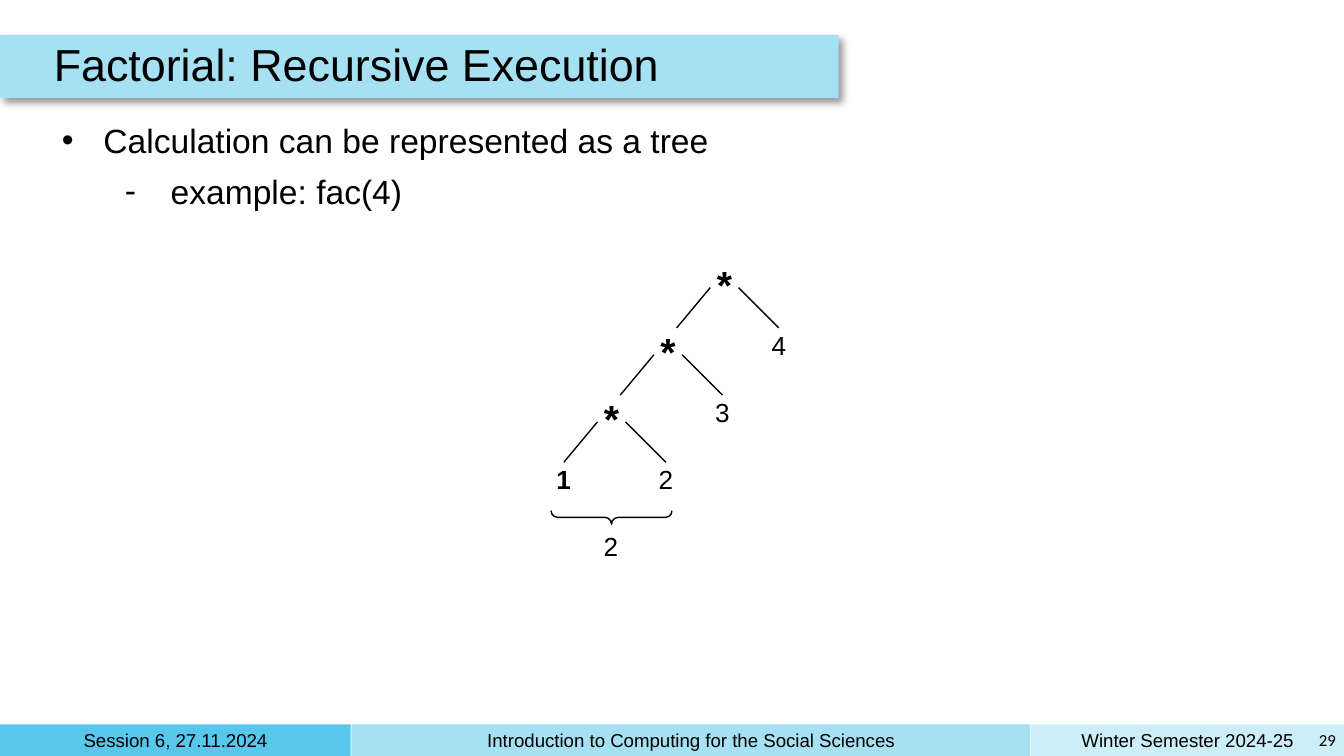
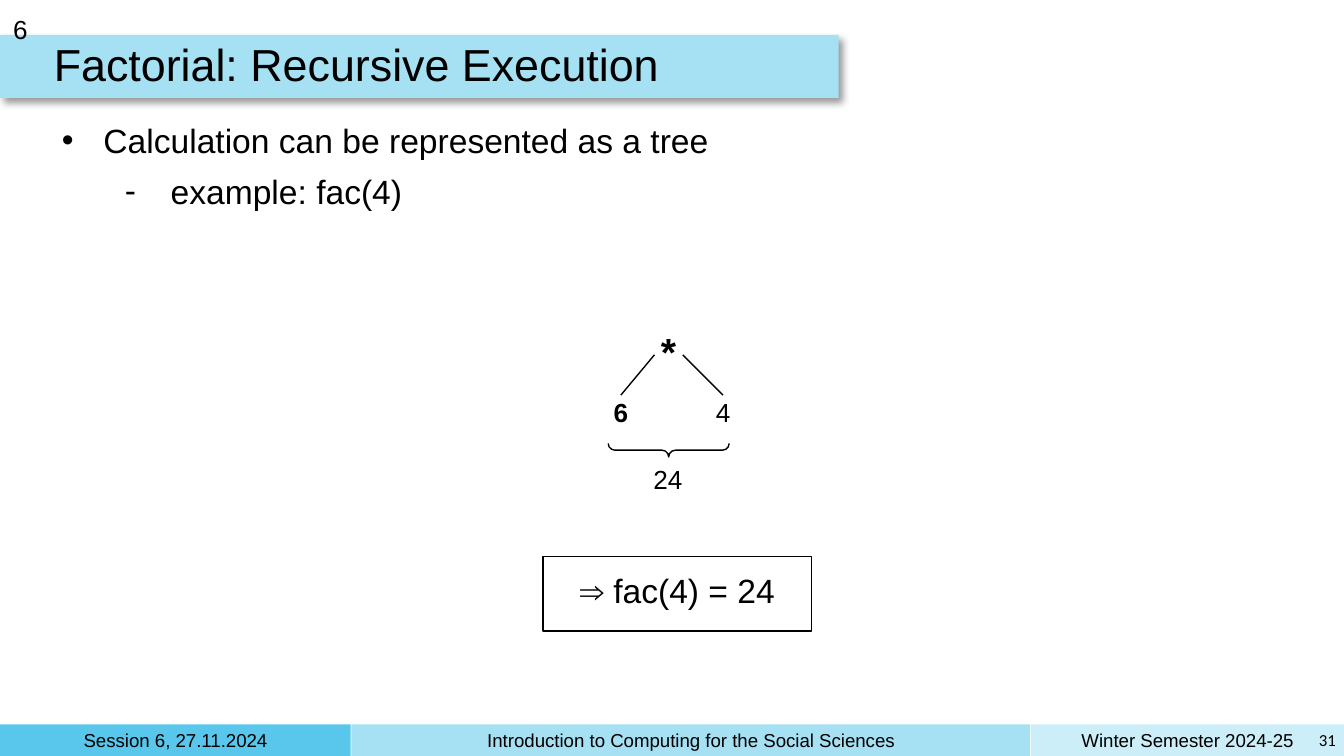
from lxml.etree import SubElement
from pptx import Presentation
from pptx.dml.color import RGBColor
from pptx.enum.shapes import MSO_CONNECTOR, MSO_SHAPE
from pptx.enum.text import MSO_ANCHOR, MSO_AUTO_SIZE, PP_ALIGN
from pptx.oxml.ns import qn
from pptx.util import Inches, Pt

BLACK = RGBColor(0x00, 0x00, 0x00)
BLUE = RGBColor(0x59, 0xC7, 0xEB)
SKY = RGBColor(0xA5, 0xE0, 0xF3)
PALE = RGBColor(0xCC, 0xEE, 0xF9)

CELL = 0.1
TITLE = "Factorial: Recursive Execution"
BULLETS = [("Calculation can be represented as a tree", "•", 0.31, -0.33, 0),
           ("example: fac(4)", "-", 0.81, -0.34, 6)]
FOOTERS = [("Session 6, 27.11.2024", 0, 26.1, BLUE),
           ("Introduction to Computing for the Social Sciences", 26.15, 50.5, SKY),
           ("Winter Semester 2024-25", 76.7, 23.3, PALE)]
ROW_STEP, COL_STEP = 5, 4.2
LEFT_COL, RIGHT_COL, CHILD_ROW = -3.55, 4.05, 4


def grid(*cells):
    """Convert grid cells to lengths."""
    return [Inches(c * CELL) for c in cells]


def write(sp, text, size=14, align=PP_ALIGN.CENTER, anchor=MSO_ANCHOR.TOP,
          insets=(0.05, 0.05, 0.05, 0.05), **font):
    """Put one formatted paragraph in a shape."""
    tf = sp.text_frame
    frame = {"word_wrap": True, "auto_size": MSO_AUTO_SIZE.NONE, "vertical_anchor": anchor}
    for side, inset in zip(("left", "top", "right", "bottom"), insets):
        frame[f"margin_{side}"] = Inches(inset)
    for name, value in frame.items():
        setattr(tf, name, value)
    p = tf.paragraphs[0]
    p.alignment = align
    add_run(p, text, size, **font)
    return p


def add_run(p, text, size, **font):
    """Add a run with the deck's font."""
    r = p.add_run()
    r.text = text
    for name, value in {"name": "Arial", "size": Pt(size), **font}.items():
        setattr(r.font, name, value)
    r.font.color.rgb = BLACK


def add_box(slide, kind, at, fill=None, outlined=False):
    """Add a preset shape without shadow."""
    sp = slide.shapes.add_shape(kind, *grid(*at))
    sp.shadow.inherit = False
    if fill is None:
        sp.fill.background()
    else:
        sp.fill.solid()
        sp.fill.fore_color.rgb = fill
    if outlined:
        sp.line.color.rgb = BLACK
        sp.line.width = Pt(0.75)
    else:
        sp.line.fill.background()
    return sp


def add_label(slide, text, at, **style):
    """Add a text box."""
    sp = slide.shapes.add_textbox(*grid(*at))
    write(sp, text, **style)
    return sp


def add_value(slide, text, x, y, bold=False):
    """Add a number centred on a column."""
    return add_label(slide, text, (x - 2.85, y, 5.7, 3), bold=bold,
                     insets=(0.01, 0.01, 0.01, 0.1))


def add_branch(slide, x1, y1, x2, y2, child=None):
    """Draw a tree branch, joined to its child if that is a number."""
    c = slide.shapes.add_connector(MSO_CONNECTOR.STRAIGHT, *grid(x1, y1, x2, y2))
    if child is not None:
        c.end_connect(child, 0)
    c.line.color.rgb = BLACK
    c.line.width = Pt(0.75)
    SubElement(c.element.spPr, qn("a:effectLst"))


def add_tree(slide, x, y, factors, leaf, result):
    """Draw a left-leaning product tree with its lowest product braced."""
    for i, factor in enumerate(factors):
        cx, cy = x - i * COL_STEP, y + i * ROW_STEP
        last = i == len(factors) - 1
        star = add_box(slide, MSO_SHAPE.OVAL, (cx - 1.5, cy - 1.5, 3, 3))
        write(star, "*", size=21, bold=True, insets=(0, 0, 0, 0))
        left = add_value(slide, leaf, cx + LEFT_COL, cy + CHILD_ROW, True) if last else None
        right = add_value(slide, factor, cx + RIGHT_COL, cy + CHILD_ROW)
        add_branch(slide, cx - 1.05, cy + 1, cx + LEFT_COL, cy + CHILD_ROW, left)
        add_branch(slide, cx + 1.05, cy + 1, cx + RIGHT_COL, cy + CHILD_ROW, right)
    brace = add_box(slide, MSO_SHAPE.RIGHT_BRACE, (cx - 0.5, cy + 3.6, 1, 9), outlined=True)
    brace.rotation = 90
    brace.adjustments[0] = 0.5
    add_value(slide, result, cx - 0.05, cy + 9)


def place(sp, at):
    """Move a placeholder to grid cells."""
    for name, value in zip(("left", "top", "width", "height"), grid(*at)):
        setattr(sp, name, value)


def add_title(slide):
    """Fill the title and lay its shadowed band behind it."""
    place(slide.shapes.title, (3.5, 2.6, 86, 4.7))
    p = write(slide.shapes.title, TITLE, size=24, align=PP_ALIGN.LEFT, anchor=MSO_ANCHOR.MIDDLE)
    p.line_spacing = 0.9
    band = add_box(slide, MSO_SHAPE.RECTANGLE, (0, 2.6, 62.4, 4.7), SKY)
    shadow = SubElement(band.element.spPr.find(qn("a:effectLst")), qn("a:outerShdw"),
                        blurRad=str(Pt(4)), dist=str(Pt(3)), dir="2700000",
                        algn="tl", rotWithShape="0")
    colour = SubElement(shadow, qn("a:srgbClr"), val=str(BLACK))
    SubElement(colour, qn("a:alpha"), val="40000")
    slide.shapes.element.insert(2, band.element)


def add_bullets(slide):
    """Fill the body placeholder with the two-level list."""
    body = slide.placeholders[1]
    place(body, (4.1, 8.4, 91.9, 7.9))
    tf = body.text_frame
    for level, (text, mark, margin, indent, before) in enumerate(BULLETS):
        if level:
            p = tf.add_paragraph()
            add_run(p, text, 18)
        else:
            p = write(body, text, size=18, align=PP_ALIGN.LEFT)
        p.level = level
        pPr = p._p.get_or_add_pPr()
        pPr.set("marL", str(Inches(margin)))
        pPr.set("indent", str(Inches(indent)))
        SubElement(SubElement(pPr, qn("a:buClr")), qn("a:srgbClr"), val=str(BLACK))
        SubElement(pPr, qn("a:buFont"), typeface="Arial")
        SubElement(pPr, qn("a:buChar"), char=mark)
        p.space_before = Pt(before)


def add_footer(slide, number):
    """Draw the footer bands and the slide number."""
    for text, x, width, fill in FOOTERS:
        sp = add_box(slide, MSO_SHAPE.RECTANGLE, (x, 53.9, width, 2.35), fill)
        write(sp, text, size=10, anchor=MSO_ANCHOR.MIDDLE)
    add_label(slide, number, (97.5, 53.8, 2.4, 2.5), size=9, name="Calibri",
              align=PP_ALIGN.RIGHT, anchor=MSO_ANCHOR.MIDDLE)


def add_slide(prs, number):
    """Add a slide with everything the slides share."""
    slide = prs.slides.add_slide(prs.slide_layouts[1])
    add_footer(slide, number)
    add_bullets(slide)
    add_title(slide)
    return slide


def main():
    """Build the deck."""
    prs = Presentation()
    prs.slide_width, prs.slide_height = grid(100, 56.25)

    slide = add_slide(prs, "29")
    add_tree(slide, 53.9, 20.4, ["4", "3", "2"], "1", "2")

    slide = add_slide(prs, "31")
    add_tree(slide, 49.75, 25.4, ["4"], "6", "24")
    add_label(slide, "6", (0, 0, 32.8, 4.4), align=PP_ALIGN.LEFT, insets=(0.1,) * 4)
    answer = add_box(slide, MSO_SHAPE.RECTANGLE, (40.4, 41.4, 20, 5.55), outlined=True)
    write(answer, "⇒ fac(4) = 24", size=18, insets=(0.1,) * 4)

    prs.save("out.pptx")


if __name__ == "__main__":
    main()
